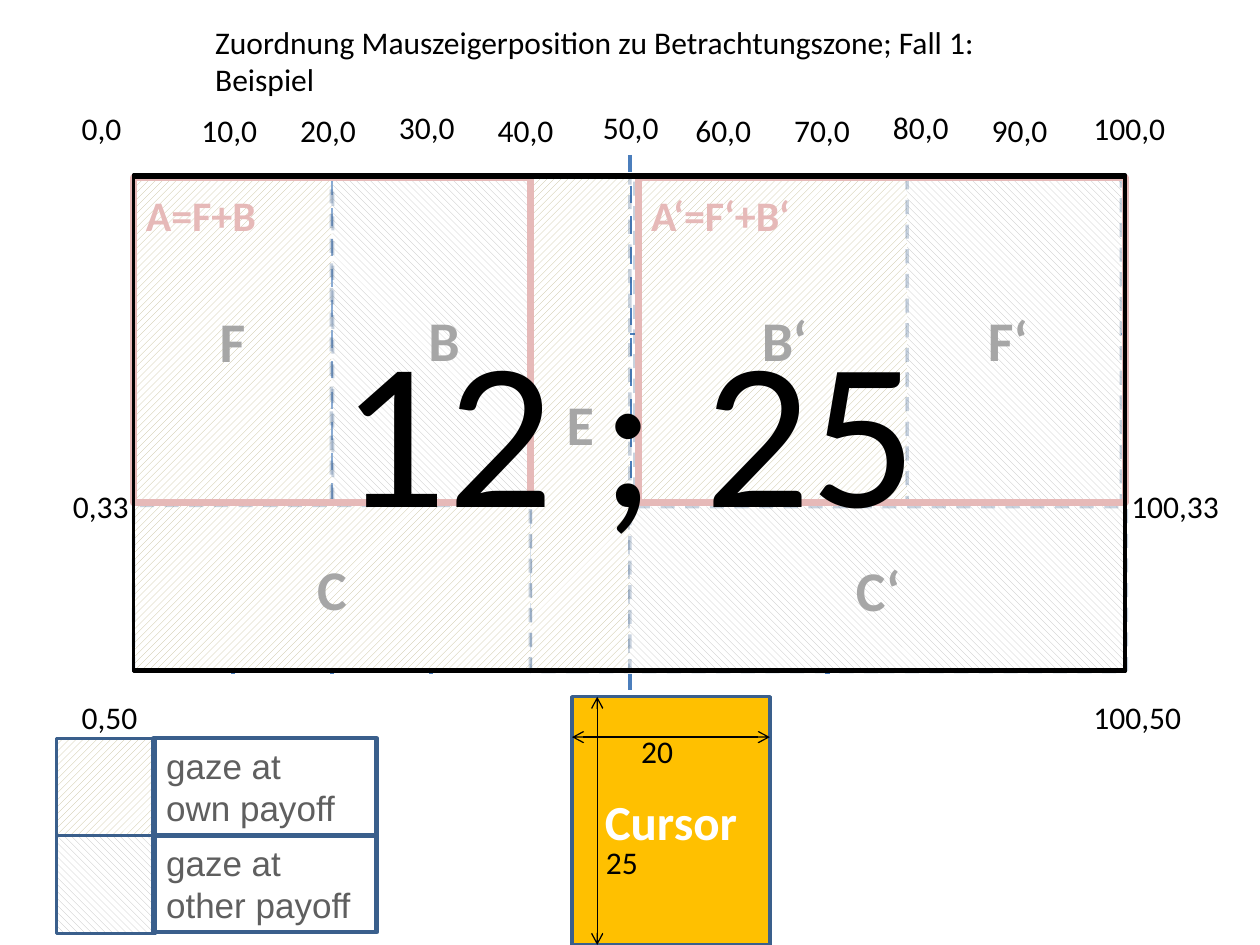
from lxml import etree
from pptx import Presentation
from pptx.dml.color import RGBColor
from pptx.enum.dml import MSO_LINE, MSO_PATTERN
from pptx.enum.shapes import MSO_CONNECTOR, MSO_SHAPE
from pptx.enum.text import MSO_ANCHOR, PP_ALIGN
from pptx.oxml.ns import qn
from pptx.util import Inches, Pt

RECT, STRAIGHT = MSO_SHAPE.RECTANGLE, MSO_CONNECTOR.STRAIGHT
DASH = MSO_LINE.DASH
LEFT, CENTER = PP_ALIGN.LEFT, PP_ALIGN.CENTER
TOP, MIDDLE = MSO_ANCHOR.TOP, MSO_ANCHOR.MIDDLE

THEME = {
    "black": "000000", "white": "FFFFFF", "grid": "4B7EBC", "edge": "3A5F8C",
    "zone": "A6A6A6", "area": "E6B9B8", "cursor": "FFC000", "legend": "5F5F5F",
    "font": "Calibri", "legend_font": "Arial",
    "label_size": 18, "legend_size": 20, "area_size": 24,
    "cursor_size": 28, "zone_size": 32, "payoff_size": 120,
}
HATCHES = {
    "own": (MSO_PATTERN.WIDE_UPWARD_DIAGONAL, "C4BD97"),
    "other": (MSO_PATTERN.WIDE_DOWNWARD_DIAGONAL, "BFBFBF"),
}

TITLE = "Zuordnung Mauszeigerposition zu Betrachtungszone; Fall 1: Beispiel"
FIELD_LEFT, FIELD_TOP, FIELD_WIDTH, FIELD_HEIGHT = 1.06, 1.39, 7.87, 3.94
COLUMN = FIELD_WIDTH / 10
LOWERED_COLUMNS = (1, 2, 3, 7)
GRID_ROWS = (2.65, 3.99)

RAISED_TENS = (30, 50, 80)
TENS_LEFT, TENS_STEP = 1.5, 0.784
CENTRE_SHIFT = 0.05
COORDINATES = [
    ("0,0", 0.55, 0.82, 0.71), ("100,0", 8.58, 0.82, 0.91),
    ("0,50", 0.55, 5.49, 0.71), ("100,50", 8.58, 5.49, 0.91),
    ("0,33", 0.48, 3.82, 0.71), ("100,33", 8.88, 3.82, 1.08),
]
ZONES = [
    ("E", "own", (4.21, 1.39, 0.79, 3.94), (0.1, 0.1)),
    ("B", "other", (2.64, 1.41, 1.57, 2.57), (0.3, 0.1)),
    ("F", "own", (1.06, 1.39, 1.57, 2.62), (0.1, 0.1)),
    ("C", "own", (1.06, 4.01, 3.15, 1.31), (0.1, 0.1)),
    ("C‘", "other", (5, 4.02, 3.94, 1.31), (0.1, 0.1)),
    ("B‘", "own", (5.04, 1.39, 2.17, 2.6), (0.3, 0.1)),
    ("F‘", "other", (7.2, 1.41, 1.7, 2.57), (0.1, 0.2)),
]
AREAS = [("A=F+B", 1.06, 3.15), ("A‘=F‘+B‘", 5.07, 3.86)]
LEGEND = [("own", ("gaze at", "own payoff")), ("other", ("gaze at", "other payoff"))]
LEGEND_LEFT, LEGEND_TOP, LEGEND_STEP = 0.45, 5.86, 0.77
CURSOR_BOX = (4.54, 5.53, 1.57, 1.97)
CURSOR_ARROWS = [(4.74, 5.53, 4.74, 7.5), (4.54, 5.85, 6.11, 5.85)]
CURSOR_SIZES = [("20", 4.99, 5.76), ("25", 4.71, 6.64)]


def write(shape, lines, size, color="black", font="font", bold=False,
          align=LEFT, anchor=MIDDLE, insets=(0.1, 0.1)):
    frame = shape.text_frame
    frame_format = {
        "word_wrap": True, "vertical_anchor": anchor,
        "margin_left": Inches(insets[0]), "margin_right": Inches(insets[1]),
    }
    for name, value in frame_format.items():
        setattr(frame, name, value)
    for index, line in enumerate(lines):
        paragraph = frame.add_paragraph() if index else frame.paragraphs[0]
        paragraph.alignment = align
        run = paragraph.add_run()
        run.text = line
        run_format = {"size": Pt(THEME[size]), "name": THEME[font], "bold": bold}
        for name, value in run_format.items():
            setattr(run.font, name, value)
        run.font.color.rgb = RGBColor.from_string(THEME[color])


def outline(line, color, width, dash=None, opacity=None):
    line.color.rgb = RGBColor.from_string(THEME[color])
    line.width = Pt(width)
    if dash is not None:
        line.dash_style = dash
    if opacity is not None:
        tint = line.fill._xPr.find(".//" + qn("a:srgbClr"))
        etree.SubElement(tint, qn("a:alpha"), val=str(opacity * 1000))


def add_box(shapes, box, edge, width, hatch=None, fill=None, dash=None, opacity=None):
    shape = shapes.add_shape(RECT, *map(Inches, box))
    shape.shadow.inherit = False
    if hatch:
        pattern, ink = HATCHES[hatch]
        shape.fill.patterned()
        shape.fill.pattern = pattern
        shape.fill.fore_color.rgb = RGBColor.from_string(ink)
        shape.fill.back_color.rgb = RGBColor.from_string(THEME["white"])
    elif fill:
        shape.fill.solid()
        shape.fill.fore_color.rgb = RGBColor.from_string(THEME[fill])
    else:
        shape.fill.background()
    outline(shape.line, edge, width, dash, opacity)
    return shape


def add_line(shapes, ends, color, width, dash=None, arrows=False):
    connector = shapes.add_connector(STRAIGHT, *map(Inches, ends))
    outline(connector.line, color, width, dash)
    properties = connector._element.spPr
    if arrows:
        stroke = properties.find(qn("a:ln"))
        for end in ("a:headEnd", "a:tailEnd"):
            etree.SubElement(stroke, qn(end), type="arrow")
    etree.SubElement(properties, qn("a:effectLst"))


def add_label(shapes, text, left, top, width=0.71, height=0.4):
    label = shapes.add_textbox(*map(Inches, (left, top, width, height)))
    write(label, [text], "label_size", anchor=TOP)


def add_grid(shapes):
    add_line(shapes, (5, 1.23, 5, 5.48), "grid", 2.5, DASH)
    for y in GRID_ROWS:
        add_line(shapes, (FIELD_LEFT, y, FIELD_LEFT + FIELD_WIDTH, y), "grid", 0.75)
    for column in (1, 2, 3, 4, 6, 7, 8, 9):
        x = FIELD_LEFT + column * COLUMN
        y = FIELD_TOP + (0.02 if column in LOWERED_COLUMNS else 0)
        add_line(shapes, (x, y, x, y + FIELD_HEIGHT), "grid", 2.5, DASH)


def add_coordinates(shapes):
    for tens in range(10, 100, 10):
        left = TENS_LEFT + (tens / 10 - 1) * TENS_STEP
        left += CENTRE_SHIFT if tens == 50 else 0
        add_label(shapes, f"{tens},0", left, 0.81 if tens in RAISED_TENS else 0.83)
    for coordinate in COORDINATES:
        add_label(shapes, *coordinate)


def add_zones(shapes):
    for name, hatch, box, insets in ZONES:
        zone = add_box(shapes, box, "edge", 2, hatch=hatch, dash=DASH, opacity=28)
        write(zone, [name], "zone_size", "zone", bold=True, align=CENTER, insets=insets)
    for name, left, width in AREAS:
        area = add_box(shapes, (left, 1.41, width, 2.58), "area", 4)
        write(area, [name], "area_size", "area", bold=True, anchor=TOP)
        area.text_frame.margin_top = Inches(0.09)


def add_legend(shapes):
    for row, (hatch, lines) in enumerate(LEGEND):
        top = LEGEND_TOP + row * LEGEND_STEP
        add_box(shapes, (LEGEND_LEFT, top, 0.78, 0.78), "edge", 2, hatch=hatch)
        entry = add_box(shapes, (1.22, top, 1.77, 0.77), "edge", 2.5)
        write(entry, lines, "legend_size", "legend", "legend_font")


def add_cursor(shapes):
    parts = shapes.add_group_shape().shapes
    cursor = add_box(parts, CURSOR_BOX, "edge", 2, fill="cursor")
    write(cursor, ["Cursor"], "cursor_size", "white", bold=True, align=CENTER)
    for ends in CURSOR_ARROWS:
        add_line(parts, ends, "black", 0.75, arrows=True)
    for size in CURSOR_SIZES:
        add_label(parts, *size)


def main():
    deck = Presentation()
    deck.slide_width, deck.slide_height = Inches(10), Inches(7.5)
    shapes = deck.slides.add_slide(deck.slide_layouts[6]).shapes
    add_grid(shapes)
    add_zones(shapes)
    add_legend(shapes)
    add_cursor(shapes)
    add_label(shapes, TITLE, 1.61, 0.13, 6.86, 0.71)
    add_coordinates(shapes)
    add_box(shapes, (FIELD_LEFT, 1.41, FIELD_WIDTH, 3.91), "black", 2)
    field = (FIELD_LEFT, FIELD_TOP, FIELD_WIDTH, FIELD_HEIGHT)
    payoffs = add_box(shapes, field, "black", 2)
    write(payoffs, ["12 ; 25"], "payoff_size", align=CENTER)
    deck.save("out.pptx")


if __name__ == "__main__":
    main()
